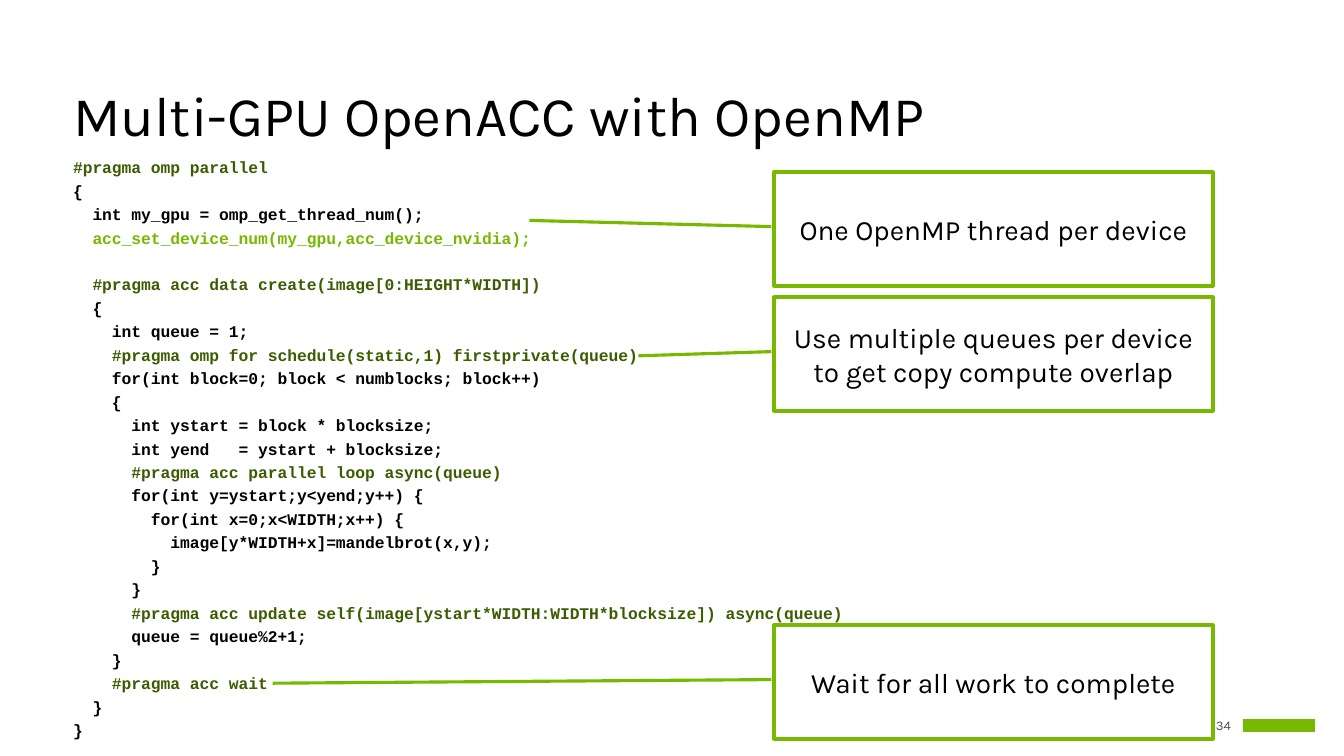
import pptx
import pptx.dml.color
import pptx.enum.shapes
import pptx.enum.text
import pptx.util
from dataclasses import dataclass

EMU_PER_PX = 914400 / 112
ALIGN = pptx.enum.text.PP_ALIGN
ANCHOR = pptx.enum.text.MSO_ANCHOR
SHAPE = pptx.enum.shapes.MSO_SHAPE


def px(*lengths):
    return [round(length * EMU_PER_PX) for length in lengths]


def rgb(value):
    return pptx.dml.color.RGBColor.from_string(value)


@dataclass(frozen=True)
class Theme:
    ink: str = "000000"
    paper: str = "FFFFFF"
    accent: str = "76B900"
    directive: str = "3B5C00"
    muted: str = "505050"
    body_font: str = "Karla"
    code_font: str = "Courier New"
    title_size: float = 36
    callout_size: float = 18
    code_size: float = 10.5
    number_size: float = 8.5
    code_gap: float = 15
    outline: float = 2


CODE = """\
#pragma omp parallel
{
  int my_gpu = omp_get_thread_num();
  acc_set_device_num(my_gpu,acc_device_nvidia);

  #pragma acc data create(image[0:HEIGHT*WIDTH])
  {
    int queue = 1;
    #pragma omp for schedule(static,1) firstprivate(queue)
    for(int block=0; block < numblocks; block++)
    {
      int ystart = block * blocksize;
      int yend   = ystart + blocksize;
      #pragma acc parallel loop async(queue)
      for(int y=ystart;y<yend;y++) {
        for(int x=0;x<WIDTH;x++) {
          image[y*WIDTH+x]=mandelbrot(x,y);
        }
      }
      #pragma acc update self(image[ystart*WIDTH:WIDTH*blocksize]) async(queue)
      queue = queue%2+1;
    }
    #pragma acc wait
  }
}"""

# Text, top edge, and the callout line's end as fractions of the box (y, x)
CALLOUTS = [
    ("One OpenMP thread per device", 172, (0.425, -0.557)),
    ("Wait for all work to complete", 625, (0.511, -1.142)),
    ("Use multiple queues per device to get copy compute overlap", 297,
     (0.516, -0.309)),
]


def write(paragraph, text, *, font, size, color, bold=False, align=ALIGN.LEFT,
          spacing=None, before=None):
    paragraph.alignment = align
    if spacing:
        paragraph.line_spacing = spacing
    if before:
        paragraph.space_before = pptx.util.Pt(before)
    run = paragraph.add_run()
    run.text = text
    run.font.name = font
    run.font.size = pptx.util.Pt(size)
    run.font.bold = bold
    run.font.color.rgb = rgb(color)


class SlideBuilder:
    def __init__(self, slide, theme):
        self.slide = slide
        self.theme = theme

    def frame(self, box, anchor=ANCHOR.TOP, inset=True):
        frame = self.slide.shapes.add_textbox(*px(*box)).text_frame
        frame.word_wrap = True
        frame.vertical_anchor = anchor
        if not inset:
            frame.margin_left = frame.margin_right = 0
            frame.margin_top = frame.margin_bottom = 0
        return frame

    def shape(self, kind, box, fill, line=None):
        shape = self.slide.shapes.add_shape(kind, *px(*box))
        shape.shadow.inherit = False
        shape.fill.solid()
        shape.fill.fore_color.rgb = rgb(fill)
        if line:
            shape.line.color.rgb = rgb(line)
            shape.line.width = pptx.util.Pt(self.theme.outline)
        else:
            shape.line.fill.background()
        return shape

    def title(self, text, box):
        frame = self.frame(box, ANCHOR.BOTTOM)
        write(frame.paragraphs[0], text, font=self.theme.body_font,
              size=self.theme.title_size, color=self.theme.ink, spacing=0.9)

    def page_number(self, text, box):
        frame = self.frame(box, ANCHOR.MIDDLE, inset=False)
        write(frame.paragraphs[0], text, font=self.theme.body_font,
              size=self.theme.number_size, color=self.theme.muted,
              align=ALIGN.RIGHT)

    def code_color(self, line):
        statement = line.strip()
        if statement.startswith("#pragma"):
            return self.theme.directive
        if statement.startswith("acc_"):
            return self.theme.accent
        return self.theme.ink

    def code(self, source, box):
        """Write one paragraph per line; an empty line becomes space before."""
        frame = self.frame(box)
        paragraph, gap = frame.paragraphs[0], None
        for line in source.splitlines():
            if not line:
                gap = self.theme.code_gap
                continue
            paragraph = paragraph or frame.add_paragraph()
            write(paragraph, line, font=self.theme.code_font,
                  size=self.theme.code_size, color=self.code_color(line),
                  bold=True, spacing=1.2, before=gap)
            paragraph, gap = None, None

    def callout(self, text, box, target):
        callout = self.shape(SHAPE.LINE_CALLOUT_1, box, self.theme.paper,
                             self.theme.accent)
        for index, value in enumerate((0.479, -0.006, *target)):
            callout.adjustments[index] = value
        frame = callout.text_frame
        frame.word_wrap = True
        frame.vertical_anchor = ANCHOR.MIDDLE
        write(frame.paragraphs[0], text, font=self.theme.body_font,
              size=self.theme.callout_size, color=self.theme.ink,
              align=ALIGN.CENTER)


def main():
    deck = pptx.Presentation()
    deck.slide_width, deck.slide_height = px(1344, 756)
    theme = Theme()
    builder = SlideBuilder(deck.slides.add_slide(deck.slide_layouts[6]), theme)

    builder.page_number("34", (1196, 715, 35, 20))
    builder.shape(SHAPE.RECTANGLE, (1243, 719, 72, 13), theme.accent)
    builder.title("Multi-GPU OpenACC with OpenMP", (62, 81, 1222, 73))
    builder.code(CODE, (62, 148, 1121, 603))
    for text, top, target in CALLOUTS:
        builder.callout(text, (774, top, 439, 114), target)

    deck.save("out.pptx")


if __name__ == "__main__":
    main()
